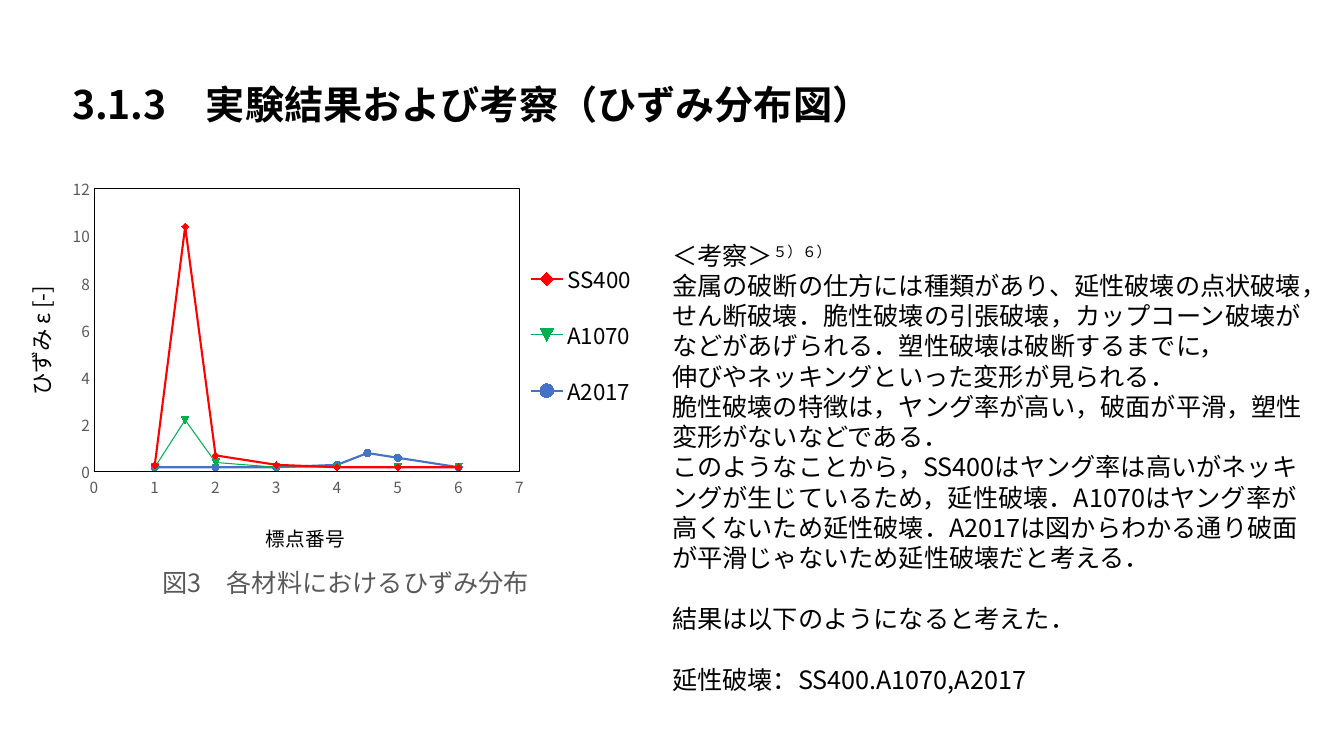
from dataclasses import dataclass

from lxml.etree import SubElement
from pptx import Presentation
from pptx.chart.data import XyChartData
from pptx.dml.color import RGBColor
from pptx.enum.chart import (XL_CHART_TYPE, XL_LEGEND_POSITION,
                             XL_MARKER_STYLE, XL_TICK_MARK)
from pptx.enum.text import MSO_ANCHOR, MSO_AUTO_SIZE, PP_ALIGN
from pptx.oxml.ns import qn
from pptx.util import Emu, Pt

SCALE = 914400 / 100.8


@dataclass(frozen=True)
class Theme:
    face: str = "Noto Sans CJK JP"
    black: str = "000000"
    gray: str = "595959"
    red: str = "FF0000"
    green: str = "00B050"
    blue: str = "4472C4"
    head: int = 28
    body: int = 18
    mark: int = 16
    axis: int = 14
    tick: int = 11
    gap: int = 22


THEME = Theme()

# Each paragraph: space before, then its runs as (text, raised)
NOTES = [
    (0, [("＜考察＞", False), ("５）６）", True)]),
    (0, [("金属の破断の仕方には種類があり、延性破壊の点状破壊，せん断破壊．"
          "脆性破壊の引張破壊，カップコーン破壊が", False)]),
    (0, [("などがあげられる．塑性破壊は破断するまでに，", False)]),
    (0, [("伸びやネッキングといった変形が見られる．", False)]),
    (0, [("脆性破壊の特徴は，ヤング率が高い，破面が平滑，"
          "塑性変形がないなどである．", False)]),
    (0, [("このようなことから，SS400はヤング率は高いがネッキングが生じているため，"
          "延性破壊．A1070はヤング率が高くないため延性破壊．"
          "A2017は図からわかる通り破面が平滑じゃないため延性破壊だと考える．", False)]),
    (THEME.gap, [("結果は以下のようになると考えた．", False)]),
    (THEME.gap, [("延性破壊：SS400.A1070,A2017", False)]),
]

# Name, colour, line width, marker, symbol index, x values, strains
STEEL = [1, 1.5, 2, 3, 4, 5, 6]
CURVES = [
    ("SS400", THEME.red, 1.5, XL_MARKER_STYLE.AUTOMATIC, 1,
     STEEL, [0.3, 10.4, 0.7, 0.3, 0.2, 0.2, 0.2]),
    ("A1070", THEME.green, 0.75, XL_MARKER_STYLE.AUTOMATIC, 2,
     STEEL, [0.2, 2.2, 0.4, 0.2, 0.2, 0.2, 0.2]),
    ("A2017", THEME.blue, 1.5, XL_MARKER_STYLE.CIRCLE, 0,
     [1, 2, 3, 4, 4.5, 5, 6], [0.2, 0.2, 0.2, 0.3, 0.8, 0.6, 0.2]),
]


def px(*sizes):
    return [Emu(round(size * SCALE)) for size in sizes]


def style(font, size, color=THEME.black, bold=False):
    font.name = THEME.face
    font.size = Pt(size)
    font.bold = bold
    font.color.rgb = RGBColor.from_string(color)


def stroke(line, color, width):
    line.color.rgb = RGBColor.from_string(color)
    line.width = Pt(width)


def widen(root):
    """Use the theme face for East Asian text too."""
    for latin in list(root.iter(qn("a:latin"))):
        east = latin.makeelement(qn("a:ea"), {"typeface": THEME.face})
        latin.addnext(east)


# Text
def frame(shape, box):
    shape.left, shape.top, shape.width, shape.height = px(*box)
    text = shape.text_frame
    text.word_wrap = True
    text.auto_size = MSO_AUTO_SIZE.SHAPE_TO_FIT_TEXT
    text.vertical_anchor = MSO_ANCHOR.TOP
    return text


def write(para, runs, size, bold=False, space=0):
    props = para._p.get_or_add_pPr()
    props.set("marL", "0")
    props.set("indent", "0")
    SubElement(props, qn("a:buNone"))
    para.alignment = PP_ALIGN.LEFT
    para.space_before = Pt(space)
    for words, raised in runs:
        run = para.add_run()
        run.text = words
        style(run.font, size, bold=bold)
        if raised:
            run._r.get_or_add_rPr().set("baseline", "30000")


# Chart
def place(node, after, inner=False, **spots):
    """Give a chart part a manual layout, as fractions of the chart."""
    for old in node.findall(qn("c:layout")):
        node.remove(old)
    layout = node.makeelement(qn("c:layout"), {})
    prior = node.find(qn(after)) if after else None
    if prior is None:
        node.insert(0, layout)
    else:
        prior.addnext(layout)
    manual = SubElement(layout, qn("c:manualLayout"))
    if inner:
        SubElement(manual, qn("c:layoutTarget"), val="inner")
    for side in ("x", "y"):
        SubElement(manual, qn(f"c:{side}Mode"), val="edge")
    for key, spot in spots.items():
        SubElement(manual, qn(f"c:{key}"), val=str(spot))


def label(title, words, size, color, x, y, turn=0):
    para = title.text_frame.paragraphs[0]
    run = para.add_run()
    run.text = words
    style(run.font, size, color)
    node = title._element
    node.find(".//" + qn("a:bodyPr")).set("rot", str(turn * 60000))
    place(node, "c:tx", x=x, y=y)


def scale(axis, top, step):
    axis.minimum_scale, axis.maximum_scale = 0, top
    axis.major_unit = step
    axis.has_major_gridlines = False
    axis.major_tick_mark = axis.minor_tick_mark = XL_TICK_MARK.NONE
    axis.tick_labels.number_format = "General"
    axis.tick_labels.number_format_is_linked = False
    style(axis.tick_labels.font, THEME.tick, THEME.gray)
    stroke(axis.format.line, THEME.black, 0.75)


def border(plot):
    props = SubElement(plot, qn("c:spPr"))
    SubElement(props, qn("a:noFill"))
    line = SubElement(props, qn("a:ln"), w=str(Pt(0.75)))
    fill = SubElement(line, qn("a:solidFill"))
    SubElement(fill, qn("a:srgbClr"), val=THEME.black)


def draw(slide, box):
    data = XyChartData()
    for name, *_, points, strains in CURVES:
        curve = data.add_series(name)
        for point, strain in zip(points, strains):
            curve.add_data_point(point, strain)
    chart = slide.shapes.add_chart(
        XL_CHART_TYPE.XY_SCATTER_LINES, *px(*box), data).chart
    style(chart.font, 10)

    # Curves
    for curve, spec in zip(chart.plots[0].series, CURVES):
        _, color, width, symbol, index, *_ = spec
        curve.smooth = False
        stroke(curve.format.line, color, width)
        marker = curve.marker
        marker.style, marker.size = symbol, 5
        marker.format.fill.solid()
        marker.format.fill.fore_color.rgb = RGBColor.from_string(color)
        stroke(marker.format.line, color, 0.75)
        curve._element.find(qn("c:idx")).set("val", str(index))

    # Axes, titles and legend
    scale(chart.category_axis, 7, 1)
    scale(chart.value_axis, 12, 2)
    label(chart.category_axis.axis_title, "標点番号", THEME.axis,
          THEME.black, 0.29, 0.74)
    label(chart.value_axis.axis_title, "ひずみ ε [-]", THEME.mark,
          THEME.black, 0.08, 0.25, turn=-90)
    label(chart.chart_title, "図3　各材料におけるひずみ分布", THEME.body,
          THEME.gray, 0.2, 0.82)
    chart.has_legend = True
    legend = chart.legend
    legend.position = XL_LEGEND_POSITION.RIGHT
    legend.include_in_layout = False
    style(legend.font, THEME.mark)
    place(legend._element, "c:legendPos", x=0.52, y=0.16, w=0.09, h=0.4)
    plot = chart._chartSpace.find(".//" + qn("c:plotArea"))
    place(plot, None, True, x=0.145, y=0.056, w=0.367, h=0.59)
    border(plot)
    widen(chart._chartSpace)


def main():
    deck = Presentation()
    deck.slide_width, deck.slide_height = px(1344, 756)
    slide = deck.slides.add_slide(deck.slide_layouts[1])
    draw(slide, (-74, 162, 1159, 480))

    # Discussion
    notes = frame(slide.placeholders[1], (662, 235, 652, 499))
    for place_no, (space, runs) in enumerate(NOTES):
        para = notes.add_paragraph() if place_no else notes.paragraphs[0]
        write(para, runs, THEME.body, space=space)

    # Heading
    head = frame(slide.shapes.title, (62, 75, 823, 57))
    write(head.paragraphs[0],
          [("3.1.3　実験結果および考察（ひずみ分布図）", False)],
          THEME.head, bold=True)
    widen(slide._element)
    deck.save("out.pptx")


if __name__ == "__main__":
    main()
